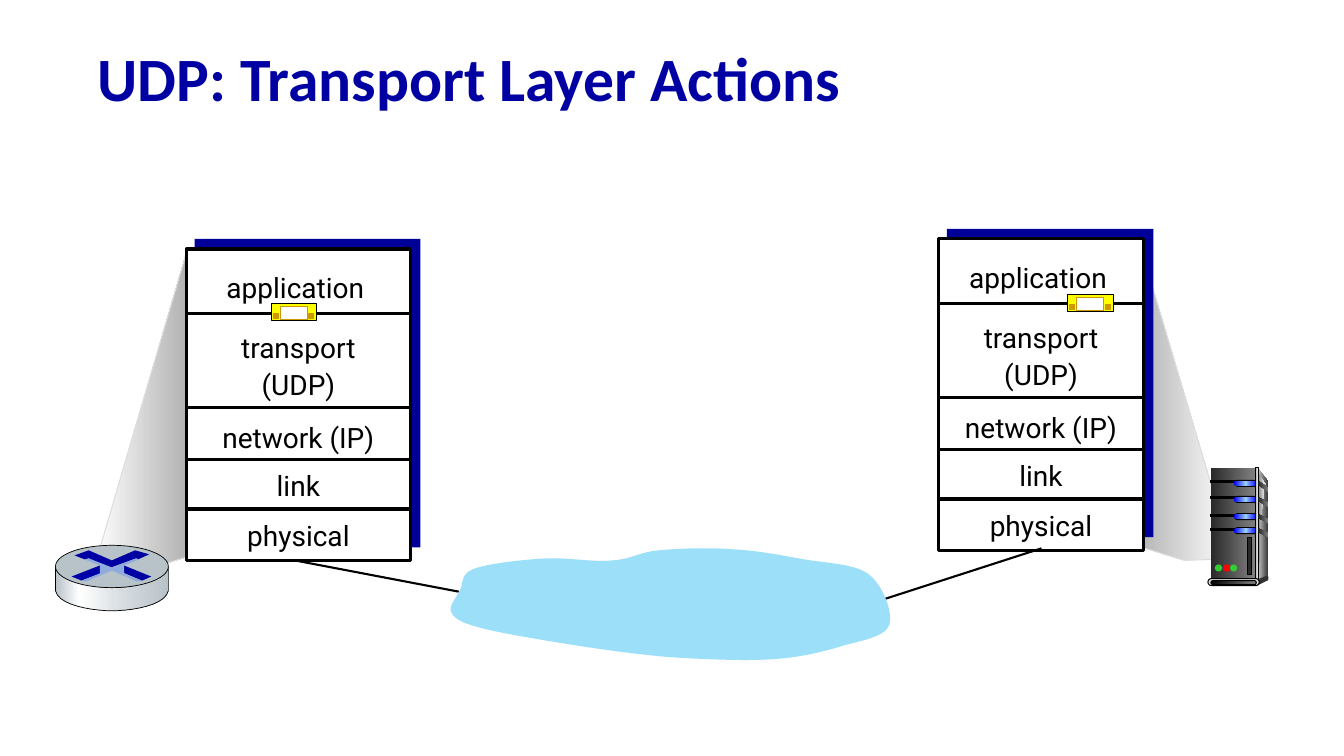
from lxml import etree
from pptx import Presentation
from pptx.dml.color import RGBColor
from pptx.enum.shapes import MSO_CONNECTOR, MSO_SHAPE
from pptx.enum.text import MSO_ANCHOR, PP_ALIGN
from pptx.oxml.ns import qn
from pptx.util import Inches, Pt

RECT, OVAL, PILL = MSO_SHAPE.RECTANGLE, MSO_SHAPE.OVAL, MSO_SHAPE.ROUNDED_RECTANGLE
STRAIGHT = MSO_CONNECTOR.STRAIGHT
CENTER, LEFT = PP_ALIGN.CENTER, PP_ALIGN.LEFT
MIDDLE = MSO_ANCHOR.MIDDLE

# Content
TITLE = "UDP: Transport Layer Actions"
# text, x offset, y offset, height within a stack
LAYERS = [("application", 0.08, 0.13, 0.44), ("transport\n(UDP)", 0.11, 0.73, 0.81),
          ("network (IP)", 0.11, 1.62, 0.44), ("link", 0.11, 2.10, 0.48),
          ("physical", 0.11, 2.59, 0.48)]
DIVIDERS = [0.64, 1.57, 2.09, 2.58]
STACKS = {"server": (9.31, 2.37, 2.03), "router": (1.85, 2.47, 2.22)}  # left, top, width
SEGMENTS = [(2.69, 3.01), (10.59, 2.92)]
LINKS = [((10.33, 5.44), (8.72, 5.96)), ((2.82, 5.54), (4.55, 5.87))]

# Colours and gradients
NAVY, BLACK, WHITE, GOLD = "000099", "000000", "FFFFFF", "CC9900"
STEEL, DARK = [(0, "292929"), (100, "808080")], "333333"
BLUE_LED = [(0, "0000FF"), (50, "99CCFF"), (100, "0000FF")]
EDGE = [(0, DARK), (50, "DDDDDD"), (100, DARK)]
ROUTER_SIDE = [(0, "B8C2C9"), (21, WHITE), (60, "D6DCE0"), (100, "B8C2C9")]

# Outlines: a pair is a corner, six numbers are a Bezier curve
SERVER_BEAM = [(12.23, 5.54), (11.29, 2.37), (11.26, 5.41), (11.75, 5.56)]
ROUTER_BEAM = [(0.93, 5.65), (1.86, 2.47), (1.84, 5.53), (1.41, 5.66)]
CLOUD = [(6.53, 5.46), (6.33, 5.48, 6.26, 5.55, 6.07, 5.56),
         (5.88, 5.58, 5.64, 5.53, 5.42, 5.54), (5.19, 5.55, 4.85, 5.59, 4.71, 5.64),
         (4.56, 5.69, 4.6, 5.79, 4.56, 5.86), (4.52, 5.94, 4.44, 6.02, 4.48, 6.08),
         (4.51, 6.14, 4.58, 6.18, 4.77, 6.23), (4.96, 6.28, 5.32, 6.34, 5.63, 6.39),
         (5.94, 6.44, 6.3, 6.49, 6.64, 6.52), (6.98, 6.54, 7.37, 6.56, 7.67, 6.54),
         (7.96, 6.52, 8.19, 6.46, 8.38, 6.4), (8.58, 6.35, 8.78, 6.31, 8.82, 6.2),
         (8.86, 6.08, 8.76, 5.81, 8.62, 5.7), (8.48, 5.59, 8.2, 5.59, 7.98, 5.55),
         (7.75, 5.51, 7.51, 5.46, 7.27, 5.45), (7.03, 5.43, 6.73, 5.44, 6.53, 5.46)]
ROUTER_WALL = [(1.67, 5.63), (1.67, 5.86), (1.64, 6.01, 1.3, 6.06, 1.11, 6.06),
               (0.93, 6.06, 0.58, 6.01, 0.55, 5.86), (0.55, 5.63),
               (0.6, 5.76, 0.92, 5.83, 1.11, 5.83), (1.29, 5.83, 1.62, 5.78, 1.67, 5.63)]
ROUTER_MARKS = [
    ("0000A3", [(1.34, 5.46), (1.48, 5.5), (1.37, 5.55), (1.35, 5.54), (1.1, 5.63),
                (0.88, 5.54), (0.84, 5.55), (0.74, 5.51), (0.88, 5.46), (1.11, 5.56)]),
    ("0000A3", [(1.23, 5.61), (1.5, 5.72), (1.41, 5.76), (1.22, 5.68)]),
    ("0000A8", [(0.99, 5.61), (0.99, 5.69), (0.81, 5.76), (0.71, 5.72)]),
    ("8FAADC", [(0.84, 5.55), (0.88, 5.54), (1.11, 5.63), (1.35, 5.54), (1.38, 5.55),
                (1.23, 5.61), (1.23, 5.69), (1.4, 5.76), (1.36, 5.77), (1.11, 5.66),
                (0.85, 5.77), (0.81, 5.76), (0.99, 5.69), (0.99, 5.61)])]
SERVER_SIDE = [(12.48, 4.65), (12.58, 4.78), (12.57, 5.71), (12.46, 5.76)]
SERVER_SHEEN = [(12.48, 4.71), (12.48, 4.71, 12.5, 4.72, 12.55, 4.8),
                (12.48, 5.21, 12.49, 5.75, 12.48, 5.73)]
SERVER_FOOT = [(12.47, 5.75), (12.47, 5.81), (12.57, 5.76), (12.57, 5.71)]
DRIVES = [(4.77, 0.07), (4.93, 0.06), (5.10, 0.05), (5.24, 0.05)]  # top, drop of side vent
LIGHTS = [(12.05, "33CC33"), (12.13, "FF0000"), (12.20, "33CC33")]


def rgb(color):
    return RGBColor.from_string(color)


def paint(sp, fill, line=None, weight=0.75):
    sp.shadow.inherit = False
    if isinstance(fill, str):
        sp.fill.solid()
        sp.fill.fore_color.rgb = rgb(fill)
    else:
        sp.fill.gradient()
        sp.fill.gradient_angle = 0
        stops = next(sp.element.iter(qn("a:gsLst")))
        stops.clear()
        for pos, color in fill:
            gs = etree.SubElement(stops, qn("a:gs"), pos=str(pos * 1000))
            etree.SubElement(gs, qn("a:srgbClr"), val=color)
    if line:
        sp.line.color.rgb = rgb(line)
        sp.line.width = Pt(weight)
    else:
        sp.line.fill.background()


def shape(parent, kind, box, fill, line=None, weight=0.75):
    sp = parent.add_shape(kind, *map(Inches, box))
    if kind == PILL:
        sp.adjustments[0] = 0.5
    paint(sp, fill, line, weight)


def outline(parent, nodes, fill, line=None, weight=0.75, steps=10):
    points = [nodes[0]]
    for node in nodes[1:]:
        if len(node) == 2:
            points.append(node)
            continue
        ctrl = [points[-1], node[:2], node[2:4], node[4:]]
        for t in (i / steps for i in range(1, steps + 1)):
            mix = ((1 - t) ** 3, 3 * t * (1 - t) ** 2, 3 * t * t * (1 - t), t ** 3)
            points.append(tuple(sum(m * c[k] for m, c in zip(mix, ctrl)) for k in (0, 1)))
    points = [(Inches(x), Inches(y)) for x, y in points]
    builder = parent.build_freeform(*points[0])
    builder.add_line_segments(points[1:], close=True)
    paint(builder.convert_to_shape(), fill, line, weight)


def line(parent, start, end, weight):
    cx = parent.add_connector(STRAIGHT, *map(Inches, start + end))
    cx.line.color.rgb = rgb(BLACK)
    cx.line.width = Pt(weight)
    etree.SubElement(cx.element.spPr, qn("a:effectLst"))


def write(tf, text, align, spacing, color, **font):
    tf.word_wrap = True
    tf.text = text
    for p in tf.paragraphs:
        p.alignment, p.line_spacing = align, spacing
        for r in p.runs:
            r.font.color.rgb = rgb(color)
            for key, value in font.items():
                setattr(r.font, key, value)


def stack(parent, left, top, width):
    shape(parent, RECT, (left + 0.08, top - 0.1, width + 0.02, 3.06), NAVY)
    shape(parent, RECT, (left, top, width, 3.09), WHITE, BLACK, 2.25)
    for dy in DIVIDERS:
        line(parent, (left + 0.01, top + dy), (left + width, top + dy), 2.25)
    for text, dx, dy, height in LAYERS:
        tb = parent.add_textbox(*map(Inches, (left + dx, top + dy, width - 0.22, height)))
        write(tb.text_frame, text, CENTER, 1.1, BLACK, name="Roboto", size=Pt(20))


def server(parent):
    outline(parent, SERVER_SIDE, [(0, "DDDDDD"), (100, DARK)])
    shape(parent, RECT, (12.01, 4.64, 0.44, 1.12), STEEL)
    outline(parent, SERVER_SHEEN, [(0, "808080"), (100, "F8F8F8")])
    for y, _ in DRIVES:
        shape(parent, RECT, (12.01, y, 0.25, 0.02), BLACK, BLACK)
        shape(parent, PILL, (12.24, y - 0.01, 0.24, 0.07), BLACK)
        shape(parent, PILL, (12.24, y, 0.23, 0.05), BLUE_LED)
    shape(parent, RECT, (12.45, 4.64, 0.03, 1.12), EDGE, BLACK)
    for y, drop in DRIVES:
        outline(parent, [(12.48, y), (12.58, y + drop), (12.58, y + drop + 0.04),
                         (12.48, y + 0.04)], STEEL)
    shape(parent, OVAL, (12.56, 5.71, 0.02, 0.05), DARK)
    outline(parent, SERVER_FOOT, DARK)
    shape(parent, PILL, (11.98, 5.74, 0.51, 0.07), "DDDDDD", BLACK)
    shape(parent, PILL, (12.01, 5.76, 0.45, 0.04), [(0, BLACK), (100, "808080")], BLACK)
    for x, color in LIGHTS:
        shape(parent, OVAL, (x, 5.6, 0.07, 0.07), color)
    shape(parent, RECT, (12.37, 5.33, 0.04, 0.37), "292929", BLACK)


def router(parent):
    outline(parent, ROUTER_WALL, ROUTER_SIDE, BLACK, 0.5)
    shape(parent, OVAL, (0.55, 5.41, 1.12, 0.42), "B8C2C9", BLACK, 0.5)
    for color, nodes in ROUTER_MARKS:
        outline(parent, nodes, color)


def segment(parent, x, y):
    shape(parent, RECT, (x, y, 0.45, 0.17), "FFFF00", BLACK)
    shape(parent, RECT, (x + 0.09, y + 0.03, 0.27, 0.13), WHITE, GOLD)
    for dx in (0.02, 0.37):
        shape(parent, RECT, (x + dx, y + 0.1, 0.05, 0.05), GOLD, GOLD)


def main():
    prs = Presentation()
    prs.slide_width, prs.slide_height = Inches(13.33), Inches(7.5)
    s = prs.slides.add_slide(prs.slide_layouts[5])
    shapes = s.shapes

    # Title
    title = shapes.title
    title.left, title.top, title.width, title.height = map(Inches, (0.87, 0.32, 12.14, 0.98))
    title.text_frame.vertical_anchor = MIDDLE
    write(title.text_frame, TITLE, LEFT, 0.9, "0000A3", name="Calibri", size=Pt(44), bold=True)

    # Server side
    outline(shapes, SERVER_BEAM, [(0, "B2B2B2"), (100, WHITE)], "DDDDDD")
    server(shapes.add_group_shape().shapes)
    stack(shapes.add_group_shape().shapes, *STACKS["server"])

    # Network cloud and its links
    for start, end in LINKS:
        line(shapes, start, end, 1.5)
    outline(shapes, CLOUD, "9CDFF9")

    # Router side
    outline(shapes, ROUTER_BEAM, [(0, WHITE), (100, "B2B2B2")], "DDDDDD")
    stack(shapes.add_group_shape().shapes, *STACKS["router"])
    router(shapes.add_group_shape().shapes)

    # Segments crossing between application and transport
    for x, y in SEGMENTS:
        segment(shapes.add_group_shape().shapes, x, y)
    prs.save("out.pptx")


if __name__ == "__main__":
    main()
